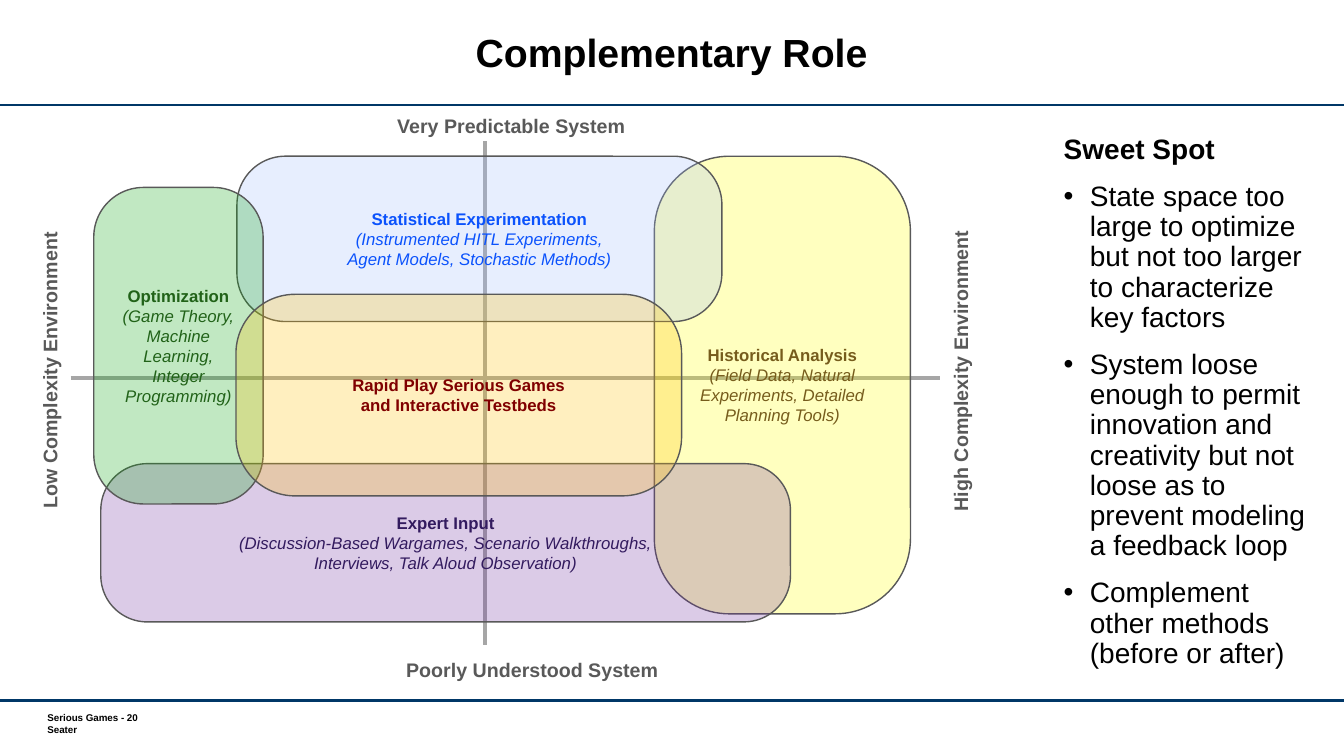
"""Build the Complementary Role slide."""
import dataclasses

import lxml.etree
import pptx
import pptx.dml.color
import pptx.enum.shapes
import pptx.enum.text
import pptx.oxml.ns
import pptx.util

PX = 9144
ALIGN = pptx.enum.text.PP_ALIGN
ANCHOR = pptx.enum.text.MSO_ANCHOR
KIND = pptx.enum.shapes.MSO_SHAPE


@dataclasses.dataclass(frozen=True)
class Theme:
    """Hold the colours, font and type sizes of the slide."""
    font: str = "Arial"
    ink: str = "000000"
    rule: str = "003767"
    axis: str = "A6A6A6"
    edge: str = "595959"
    title: int = 28
    body: int = 20
    label: int = 14
    zone: int = 12
    foot: int = 7
    alpha: int = 25000


THEME = Theme()

LABELS = [
    ("Very Predictable System", (384, 108, 248, 34), 0),
    ("Poorly Understood System", (393, 648, 272, 34), 0),
    ("High Complexity Environment", (803, 350, 300, 34), 270),
    ("Low Complexity Environment", (-98, 350, 295, 34), 270),
]

ZONES = [
    ((649, 155, 254, 454), "FFFF00", "765C1C", ["Historical Analysis"],
     ["(Field Data, Natural Experiments, Detailed Planning Tools)"]),
    ((235, 155, 481, 164), "A0BCFE", "0B52FC", ["Statistical Experimentation"],
     ["(Instrumented HITL Experiments,", "Agent Models, Stochastic Methods)"]),
    ((100, 460, 684, 157), "7030A0", "331B5F", ["Expert Input"],
     ["(Discussion-Based Wargames, Scenario Walkthroughs,",
      "Interviews, Talk Aloud Observation)"]),
    ((93, 186, 168, 314), "0AA60E", "216218", ["Optimization"],
     ["(Game Theory, Machine Learning, Integer Programming)"]),
    ((234, 292, 442, 200), "FFC000", "800000",
     ["Rapid Play Serious Games", "and Interactive Testbeds"], []),
]

POINTS = [
    "State space too large to optimize but not too larger to characterize key factors",
    "System loose enough to permit innovation and creativity but not loose as to "
    "prevent modeling a feedback loop",
    "Complement other methods (before or after)",
]


def emu(*nums):
    """Turn px lengths into EMU."""
    return [pptx.util.Emu(num * PX) for num in nums]


def rgb(code):
    """Turn a hex code into a colour."""
    return pptx.dml.color.RGBColor.from_string(code)


def node(parent, tag, **attrs):
    """Add a DrawingML element to a parent."""
    return lxml.etree.SubElement(parent, pptx.oxml.ns.qn(tag), **attrs)


def style(para, size, color, bold=True, italic=False):
    """Format every run of a paragraph."""
    for run in para.runs:
        font = run.font
        font.name, font.size = THEME.font, pptx.util.Pt(size)
        font.bold, font.italic = bold, italic
        font.color.rgb = rgb(color)


def place(shape, box):
    """Move and size a shape."""
    shape.left, shape.top, shape.width, shape.height = emu(*box)


def line(slide, start, end, color, width):
    """Draw a straight line without a shadow."""
    link = slide.shapes.add_connector(
        pptx.enum.shapes.MSO_CONNECTOR.STRAIGHT, *emu(*start, *end))
    link.line.color.rgb = rgb(color)
    link.line.width = pptx.util.Pt(width)
    node(link.element.spPr, "a:effectLst")


def label(slide, text, box, turn):
    """Add an axis label."""
    shape = slide.shapes.add_textbox(*emu(*box))
    shape.rotation = turn
    frame = shape.text_frame
    frame.text = text
    frame.word_wrap = False
    frame.auto_size = pptx.enum.text.MSO_AUTO_SIZE.SHAPE_TO_FIT_TEXT
    style(frame.paragraphs[0], THEME.label, THEME.edge)


def zone(slide, box, fill, color, heads, notes):
    """Add a see-through rounded zone with its text."""
    shape = slide.shapes.add_shape(KIND.ROUNDED_RECTANGLE, *emu(*box))
    shape.shadow.inherit = False
    shape.adjustments[0] = 0.293
    shape.fill.solid()
    shape.fill.fore_color.rgb = rgb(fill)
    tint = shape.element.spPr.find(".//" + pptx.oxml.ns.qn("a:srgbClr"))
    node(tint, "a:alpha", val=str(THEME.alpha))
    shape.line.color.rgb = rgb(THEME.edge)
    shape.line.width = pptx.util.Pt(1)
    frame = shape.text_frame
    frame.word_wrap = True
    frame.vertical_anchor = ANCHOR.MIDDLE
    frame.text = "\n".join(heads + notes)
    for i, para in enumerate(frame.paragraphs):
        para.alignment = ALIGN.CENTER
        head = i < len(heads)
        style(para, THEME.zone, color, head, not head)


def title(slide):
    """Fill the title placeholder."""
    shape = slide.shapes.title
    place(shape, (137, 11, 1058, 89))
    frame = shape.text_frame
    frame.text = "Complementary Role"
    frame.vertical_anchor = ANCHOR.MIDDLE
    para = frame.paragraphs[0]
    para.alignment = ALIGN.CENTER
    para.line_spacing = pptx.util.Pt(THEME.title)
    style(para, THEME.title, THEME.ink)


def body(slide):
    """Fill the body placeholder with a heading and bullets."""
    shape = slide.placeholders[1]
    place(shape, (1045, 129, 263, 553))
    frame = shape.text_frame
    frame.text = "\n".join(["Sweet Spot"] + POINTS)
    frame.auto_size = pptx.enum.text.MSO_AUTO_SIZE.NONE
    for i, para in enumerate(frame.paragraphs):
        props = para._p.get_or_add_pPr()
        left = 26 * PX if i else 0
        props.set("marL", str(left))
        props.set("indent", str(-left))
        if i:
            node(props, "a:buChar", char="•")
        else:
            node(props, "a:buNone")
        para.line_spacing = 0.9
        para.space_before = pptx.util.Pt(12 if i else 0)
        style(para, THEME.body, THEME.ink, bold=not i)


def footer(slide):
    """Add the small footer text."""
    frame = slide.shapes.add_textbox(*emu(47, 706, 159, 24)).text_frame
    frame.word_wrap = True
    frame.margin_left = frame.margin_right = 0
    frame.margin_top = frame.margin_bottom = 0
    frame.text = "Serious Games - 20\nSeater"
    for para in frame.paragraphs:
        style(para, THEME.foot, THEME.ink)


def main():
    """Build and save the slide."""
    deck = pptx.Presentation()
    deck.slide_width, deck.slide_height = emu(1333, 750)
    slide = deck.slides.add_slide(deck.slide_layouts[1])
    for top in (104, 695):
        line(slide, (0, top), (1333, top), THEME.rule, 1.75)
    footer(slide)
    title(slide)
    line(slide, (481, 140), (481, 640), THEME.axis, 2.25)
    line(slide, (70, 375), (932, 375), THEME.axis, 2.25)
    for item in LABELS:
        label(slide, *item)
    for item in ZONES:
        zone(slide, *item)
    body(slide)
    deck.save("out.pptx")


if __name__ == "__main__":
    main()
